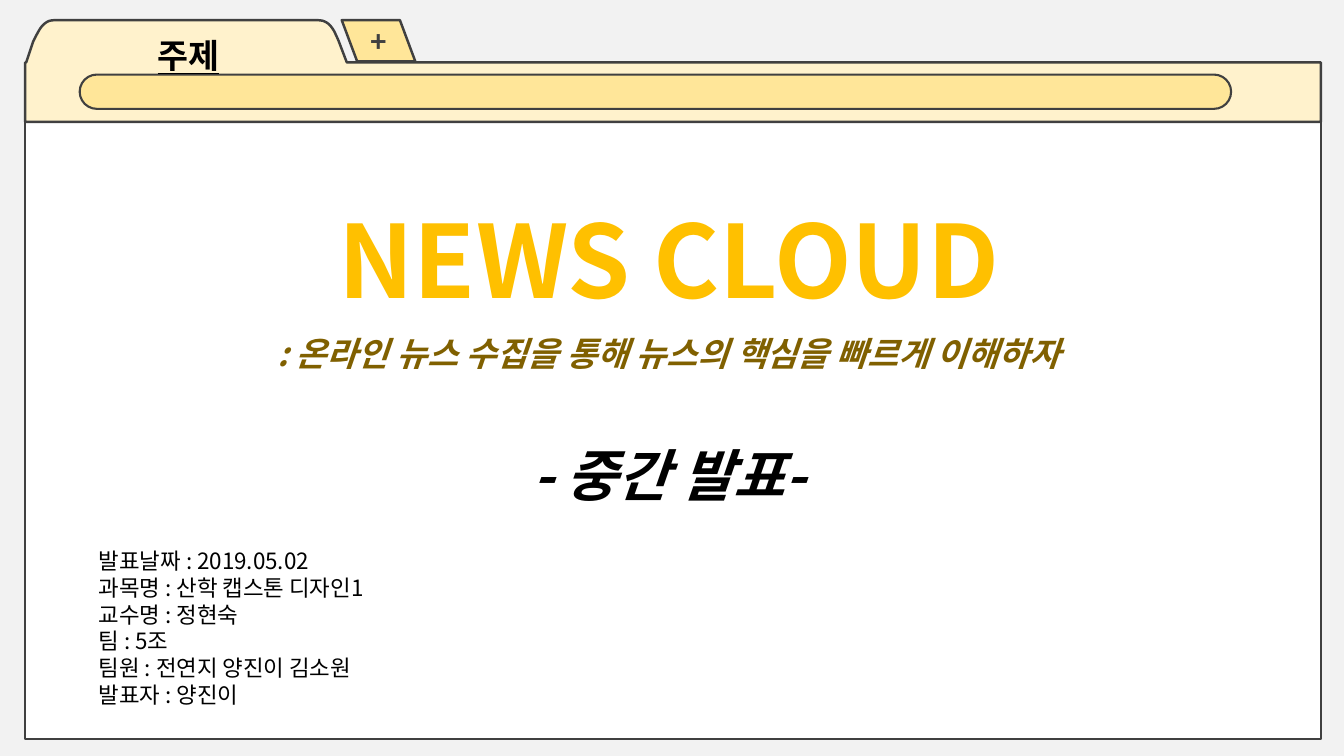
from lxml import etree
from pptx import Presentation
from pptx import util as u
from pptx.dml.color import RGBColor
from pptx.enum import shapes, text
from pptx.oxml.ns import qn

FONT = "Noto Sans CJK KR"
COLORS = {
    "desk": "F2F2F2", "page": "FFFFFF", "folder": "FFF2CC", "bar": "FFE699",
    "line": "404040", "gold": "FFC000", "brown": "806000", "ink": "000000",
}
W, H = 13.33, 7.5
FOLDER = (0.25, 0.2, 12.85, 7.13)
HEADER_H = 1.01
TAB_H = 0.42
UNITS = 1000  # freeform units per inch, since its points are whole numbers
DETAILS = [
    "발표날짜 : 2019.05.02",
    "과목명 : 산학 캡스톤 디자인1",
    "교수명 : 정현숙",
    "팀 : 5조",
    "팀원 : 전연지 양진이 김소원",
    "발표자 : 양진이",
]


def rgb(name):
    return RGBColor.from_string(COLORS[name])


def paint(sp, fill, width=1.75):
    sp.shadow.inherit = False
    sp.fill.solid()
    sp.fill.fore_color.rgb = rgb(fill)
    sp.line.color.rgb = rgb("line")
    sp.line.width = u.Pt(width)


def add_box(slide, kind, box, fill, width=1.75):
    sp = slide.shapes.add_shape(kind, *map(u.Inches, box))
    paint(sp, fill, width)
    return sp


def place(sp, box):
    for name, value in zip(("left", "top", "width", "height"), box):
        setattr(sp, name, u.Inches(value))


def write(tf, lines, margin_top=0.05, anchor=text.MSO_ANCHOR.TOP):
    """Fill tf with (wording, colour, font format, paragraph format) lines."""
    tf.word_wrap = True
    tf.auto_size = text.MSO_AUTO_SIZE.NONE
    tf.vertical_anchor = anchor
    tf.margin_top = u.Inches(margin_top)
    for i, (words, color, font, layout) in enumerate(lines):
        p = tf.add_paragraph() if i else tf.paragraphs[0]
        for key, value in layout.items():
            setattr(p, key, value)
        r = p.add_run()
        r.text = words
        r.font.name = FONT
        r.font.color.rgb = rgb(color)
        for key, value in font.items():
            setattr(r.font, key, value)
        etree.SubElement(r.font._element, qn("a:ea")).set("typeface", FONT)


def centred(size, before=0, spacing=1.2):
    return {"alignment": text.PP_ALIGN.CENTER, "space_before": u.Pt(before),
            "line_spacing": u.Pt(round(size * spacing))}


def bezier(a, b, c, d, steps=12):
    for i in range(1, steps + 1):
        t = i / steps
        k = ((1 - t) ** 3, 3 * t * (1 - t) ** 2, 3 * t * t * (1 - t), t ** 3)
        yield tuple(sum(f * q[n] for f, q in zip(k, (a, b, c, d))) for n in (0, 1))


def folder_header(slide, box):
    x, y, w, h = box
    outline = [
        (0.08, 0.21),
        *bezier((0.08, 0.21), (0.14, 0.09), (0.18, 0), (0.29, 0)),
        (2.9, 0),
        *bezier((2.9, 0), (3.02, 0), (3.06, 0.09), (3.11, 0.21)),
        (3.19, TAB_H), (w, TAB_H), (w, h), (0, h), (0, TAB_H), (0.01, TAB_H),
    ]
    points = [((x + dx) * UNITS, (y + dy) * UNITS) for dx, dy in outline]
    builder = slide.shapes.build_freeform(*points[0], scale=u.Inches(1) / UNITS)
    builder.add_line_segments(points[1:], close=True)
    paint(builder.convert_to_shape(), "folder")

    bar = add_box(slide, shapes.MSO_SHAPE.ROUNDED_RECTANGLE,
                  (x + 0.54, y + 0.54, 11.42, 0.34), "bar", 1.5)
    bar.adjustments[0] = 0.5

    new_tab = add_box(slide, shapes.MSO_SHAPE.PARALLELOGRAM,
                      (x + 3.14, y, 0.73, TAB_H - 0.01), "bar")
    new_tab.adjustments[0] = 0.373
    new_tab.element.spPr.xfrm.set("flipH", "1")
    write(new_tab.text_frame,
          [("+", "line", {"size": u.Pt(20), "bold": True}, centred(20))],
          anchor=text.MSO_ANCHOR.MIDDLE)

    label = slide.shapes.add_textbox(*map(u.Inches, (x + 0.35, y - 0.1, 2.54, 0.63)))
    write(label.text_frame,
          [("주제", "ink", {"size": u.Pt(24), "bold": True, "underline": True},
            centred(24, spacing=1.8))])


def headline(sp, box):
    place(sp, box)
    bold = {"bold": True}
    slanted = {"bold": True, "italic": True}
    write(sp.text_frame, [
        ("NEWS CLOUD", "gold", {"size": u.Pt(72), **bold}, centred(72)),
        (": 온라인 뉴스 수집을 통해 뉴스의 핵심을 빠르게 이해하자", "brown",
         {"size": u.Pt(24), **slanted}, centred(24, before=10)),
        ("- 중간 발표-", "ink", {"size": u.Pt(40), **slanted}, centred(40, before=48)),
    ])


def details(sp, box):
    place(sp, box)
    layout = {"alignment": text.PP_ALIGN.LEFT, "space_before": u.Pt(0),
              "line_spacing": u.Pt(19.1)}
    write(sp.text_frame,
          [(line, "ink", {"size": u.Pt(16)}, layout) for line in DETAILS],
          margin_top=0.32)
    for p in sp.text_frame.paragraphs:
        pPr = p._p.get_or_add_pPr()
        pPr.set("marL", "0")
        pPr.set("indent", "0")
        etree.SubElement(pPr, qn("a:buNone"))


def cover(prs):
    slide = prs.slides.add_slide(prs.slide_layouts[1])
    slide.background.fill.solid()
    slide.background.fill.fore_color.rgb = rgb("desk")
    x, y, w, h = FOLDER
    add_box(slide, shapes.MSO_SHAPE.RECTANGLE,
            (x, y + HEADER_H, w, h - HEADER_H), "page")
    folder_header(slide, (x, y, w, HEADER_H))
    title, body = slide.shapes.title, slide.placeholders[1]
    headline(title, (x + 1.36, y + 1.72, 10.05, 3.21))
    details(body, (x + 0.63, y + 4.91, 8.9, 2.26))
    for sp in (title, body):  # bring the text in front of the folder
        sp.element.getparent().append(sp.element)


def main():
    prs = Presentation()
    prs.slide_width, prs.slide_height = u.Inches(W), u.Inches(H)
    cover(prs)
    prs.save("out.pptx")


if __name__ == "__main__":
    main()
